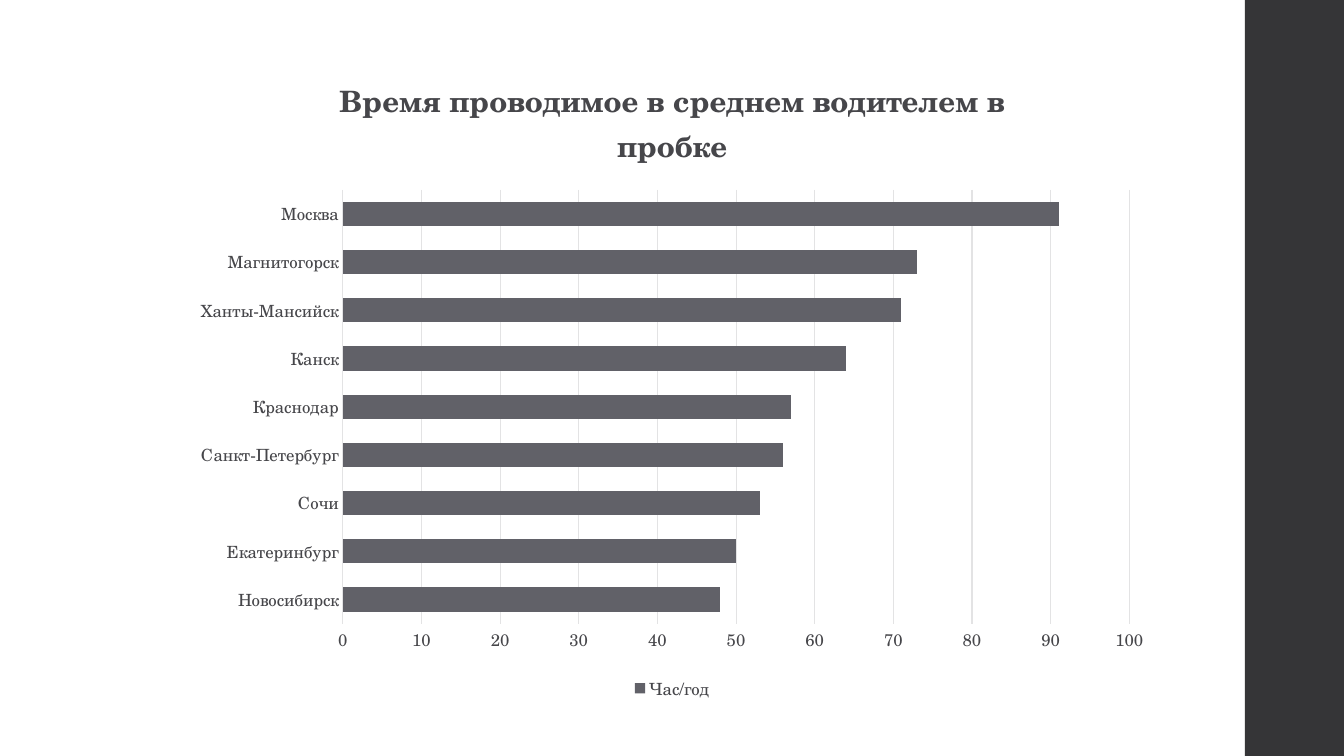
import pptx
import pptx.chart.data
import pptx.dml.color
import pptx.enum.chart
import pptx.enum.shapes
import pptx.util
from dataclasses import dataclass

Cm = pptx.util.Cm
Pt = pptx.util.Pt
enum = pptx.enum.chart


@dataclass
class Theme:
    font: str = "TeX Gyre Schola"
    text: str = "46464A"
    bar: str = "616168"
    grid: str = "E3E3E4"
    band: str = "353537"
    head: float = 21
    label: float = 12
    rule: float = 0.75


theme = Theme()


def tint(code):
    return pptx.dml.color.RGBColor.from_string(code)


def style(font, size, bold=False):
    looks = {"name": theme.font, "size": Pt(size), "bold": bold}
    for key, value in looks.items():
        setattr(font, key, value)
    font.color.rgb = tint(theme.text)


deck = pptx.Presentation()
deck.slide_width, deck.slide_height = Cm(33.87), Cm(19.05)
slide = deck.slides.add_slide(deck.slide_layouts[6])

# Dark band on the right
band = slide.shapes.add_shape(
    pptx.enum.shapes.MSO_SHAPE.RECTANGLE, Cm(31.37), 0, Cm(2.5), Cm(19.05))
band.shadow.inherit = False
band.fill.solid()
band.fill.fore_color.rgb = tint(theme.band)
band.line.fill.background()

# Hours per year, from the bottom bar up
hours = {
    "Новосибирск": 48,
    "Екатеринбург": 50,
    "Сочи": 53,
    "Санкт-Петербург": 56,
    "Краснодар": 57,
    "Канск": 64,
    "Ханты-Мансийск": 71,
    "Магнитогорск": 73,
    "Москва": 91,
}
data = pptx.chart.data.CategoryChartData()
data.categories = list(hours)
data.add_series("Час/год", list(hours.values()))
chart = slide.shapes.add_chart(
    enum.XL_CHART_TYPE.BAR_CLUSTERED,
    Cm(4.57), Cm(1.27), Cm(24.74), Cm(16.48), data).chart
style(chart.font, theme.label)

# Title
title = chart.chart_title
title.include_in_layout = False
title.text_frame.text = "Время проводимое в среднем водителем в пробке"
style(title.text_frame.paragraphs[0].runs[0].font, theme.head, True)

# Bars
plot = chart.plots[0]
plot.gap_width = 100
plot.vary_by_categories = False
fill = plot.series[0].format.fill
fill.solid()
fill.fore_color.rgb = tint(theme.bar)

# Axes and grid
towns, scale = chart.category_axis, chart.value_axis
for axis in (towns, scale):
    axis.major_tick_mark = axis.minor_tick_mark = enum.XL_TICK_MARK.NONE
    style(axis.tick_labels.font, theme.label)
limits = {"minimum_scale": 0, "maximum_scale": 100, "major_unit": 10,
          "has_major_gridlines": True}
for key, value in limits.items():
    setattr(scale, key, value)
scale.format.line.fill.background()
for line in (towns.format.line, scale.major_gridlines.format.line):
    line.color.rgb = tint(theme.grid)
    line.width = Pt(theme.rule)

# Legend
chart.has_legend = True
chart.legend.position = enum.XL_LEGEND_POSITION.BOTTOM
chart.legend.include_in_layout = False
style(chart.legend.font, theme.label)

deck.save("out.pptx")
